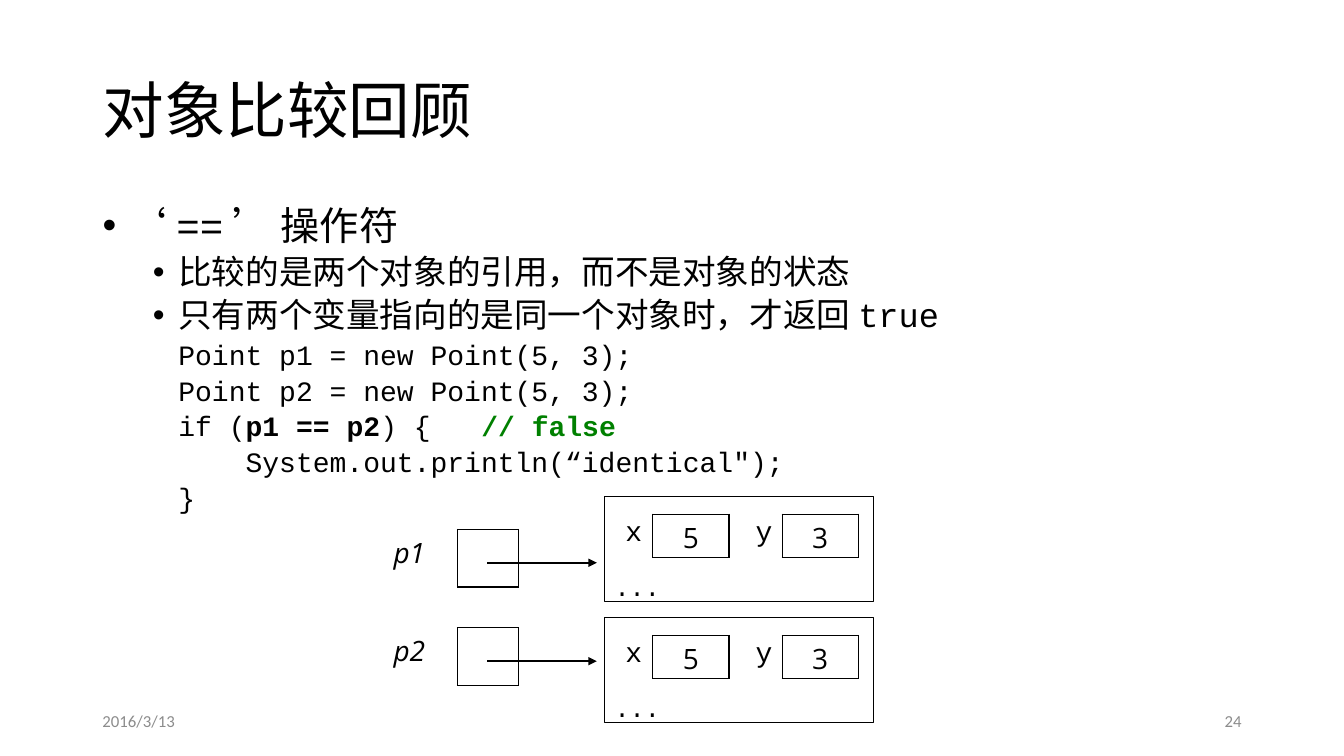
from dataclasses import dataclass
from lxml import etree
from pptx import Presentation
from pptx import util as u
from pptx.dml.color import RGBColor
from pptx.enum import shapes, text
from pptx.oxml import ns


@dataclass(frozen=True)
class Theme:
    ink: str = "000000"
    comment: str = "008000"
    muted: str = "8C8C8C"
    sans: str = "Calibri"
    mono: str = "Courier New"
    value: str = "Open Sans"
    title: int = 44
    lead: int = 28
    point: int = 24
    code: int = 20
    dots: int = 18
    footer: int = 12


theme = Theme()
Cm = u.Cm

TITLE = "对象比较回顾"
LEAD = [("‘", {}), ("==", {"font": theme.mono}), ("’ 操作符", {})]
POINTS = [
    [("比较的是两个对象的引用，而不是对象的状态", {})],
    [("只有两个变量指向的是同一个对象时，才返回", {}), ("true", {"font": theme.mono})],
]
CODE = [
    [("Point p1 = new Point(5, 3);", {})],
    [("Point p2 = new Point(5, 3);", {})],
    [("if (", {}), ("p1 == p2", {"bold": True}), (") {   ", {}),
     ("// false", {"bold": True, "color": theme.comment})],
    [("    System.out.println(“identical\");", {})],
    [("}", {})],
]
VARIABLES = ["p1", "p2"]
FIELDS = [("x", theme.mono), ("5", theme.value), (" y", theme.mono), ("3", theme.value)]
DATE, NUMBER = "2016/3/13", "24"

MARGIN, WIDTH = 2.33, 29.21
POINTER_TOP, POINTER_STEP = 13.34, 2.48
OBJECT_TOP, OBJECT_STEP = 12.5, 3.05


def add_span(para, words, size, font=theme.sans, color=theme.ink, bold=False, italic=False):
    span = para.add_run()
    span.text = words
    span.font.size = u.Pt(size)
    span.font.name = font
    span.font.bold = bold
    span.font.italic = italic
    span.font.color.rgb = RGBColor.from_string(color)


def place(shape, left, top, width, height):
    shape.left, shape.top, shape.width, shape.height = map(Cm, (left, top, width, height))


def add_item(frame, spans, size, left, level=0, bullet=True, before=5, line=0.9, font=theme.sans):
    para = frame.paragraphs[0] if not frame.paragraphs[0].runs else frame.add_paragraph()
    para.level = level
    para.line_spacing = line
    para.space_before = u.Pt(before)
    props = para._p.get_or_add_pPr()
    props.set("marL", str(Cm(left)))
    props.set("indent", str(Cm(-0.64 if bullet else 0)))
    if bullet:
        etree.SubElement(props, ns.qn("a:buFont")).set("typeface", "Arial")
        etree.SubElement(props, ns.qn("a:buChar")).set("char", "•")
    else:
        etree.SubElement(props, ns.qn("a:buNone"))
    for words, style in spans:
        add_span(para, words, size, **{"font": font, **style})


def set_borders(cell, sides):
    props = cell._tc.get_or_add_tcPr()
    for side in "LRTB":
        edge = etree.SubElement(props, ns.qn("a:ln" + side), w=str(u.Pt(1)))
        if side in sides:
            fill = etree.SubElement(edge, ns.qn("a:solidFill"))
            etree.SubElement(fill, ns.qn("a:srgbClr"), val=theme.ink)
        else:
            etree.SubElement(edge, ns.qn("a:noFill"))


def add_row(page, cells, widths, left, top, height, italic=False):
    frame = page.shapes.add_table(1, len(cells), Cm(left), Cm(top), Cm(sum(widths)), Cm(height))
    table = frame.table
    table.first_row = table.horz_banding = False
    table.rows[0].height = Cm(height)
    for index, ((words, font), width) in enumerate(zip(cells, widths)):
        table.columns[index].width = Cm(width)
        cell = table.cell(0, index)
        boxed = index % 2 == 1
        set_borders(cell, "LRTB" if boxed else "LR" if index else "R")
        cell.fill.background()
        cell.margin_left = cell.margin_right = cell.margin_top = Cm(0.1)
        cell.margin_bottom = 0
        para = cell.text_frame.paragraphs[0]
        para.alignment = text.PP_ALIGN.CENTER
        if words:
            add_span(para, words, theme.code, font, italic=italic)


def add_arrow(page, left, right, y):
    arrow = page.shapes.add_connector(shapes.MSO_CONNECTOR.STRAIGHT, Cm(left), Cm(y), Cm(right), Cm(y))
    arrow.line.color.rgb = RGBColor.from_string(theme.ink)
    arrow.line.width = u.Pt(1.5)
    etree.SubElement(arrow.line._get_or_add_ln(), ns.qn("a:tailEnd"), type="triangle")
    etree.SubElement(arrow._element.spPr, ns.qn("a:effectLst"))


def add_object(page, top):
    box = page.shapes.add_shape(shapes.MSO_SHAPE.RECTANGLE, Cm(15.24), Cm(top), Cm(6.78), Cm(2.65))
    box.shadow.inherit = False
    box.fill.background()
    box.line.color.rgb = RGBColor.from_string(theme.ink)
    box.line.width = u.Pt(0.75)
    frame = box.text_frame
    frame.vertical_anchor = text.MSO_ANCHOR.BOTTOM
    frame.margin_bottom = 0
    para = frame.paragraphs[0]
    para.alignment = text.PP_ALIGN.LEFT
    add_span(para, "...", theme.dots, theme.mono)
    add_row(page, FIELDS, [0.95, 1.92, 1.34, 1.92], 15.5, top + 0.46, 1.09)


def add_footer(page, words, left, alignment):
    box = page.shapes.add_textbox(Cm(left), Cm(17.66), Cm(7.62), Cm(1.01))
    frame = box.text_frame
    frame.word_wrap = True
    frame.vertical_anchor = text.MSO_ANCHOR.MIDDLE
    frame.paragraphs[0].alignment = alignment
    add_span(frame.paragraphs[0], words, theme.footer, color=theme.muted)


deck = Presentation()
deck.slide_width, deck.slide_height = Cm(33.87), Cm(19.05)
page = deck.slides.add_slide(deck.slide_layouts[1])

title, body = page.placeholders
place(title, MARGIN, 1.01, WIDTH, 3.68)
title.text_frame.vertical_anchor = text.MSO_ANCHOR.MIDDLE
heading = title.text_frame.paragraphs[0]
heading.alignment = text.PP_ALIGN.LEFT
heading.line_spacing = 0.9
add_span(heading, TITLE, theme.title)

place(body, MARGIN, 5.07, WIDTH, 12.09)
frame = body.text_frame
frame.auto_size = text.MSO_AUTO_SIZE.NONE
add_item(frame, LEAD, theme.lead, 0.64, before=10)
for spans in POINTS:
    add_item(frame, spans, theme.point, 1.91, level=1)
for spans in CODE:
    add_item(frame, spans, theme.code, 1.91, level=1, bullet=False, before=6.3, line=0.8, font=theme.mono)

for index, name in enumerate(VARIABLES):
    pointer_top = POINTER_TOP + index * POINTER_STEP
    add_object(page, OBJECT_TOP + index * OBJECT_STEP)
    add_row(page, [(name, theme.value), ("", theme.value)], [2.43, 1.54], 9.1, pointer_top, 1.45, italic=True)
    add_arrow(page, 12.28, 15.04, pointer_top + 0.84)

add_footer(page, DATE, MARGIN, text.PP_ALIGN.LEFT)
add_footer(page, NUMBER, MARGIN + WIDTH - 7.62, text.PP_ALIGN.RIGHT)
deck.save("out.pptx")
